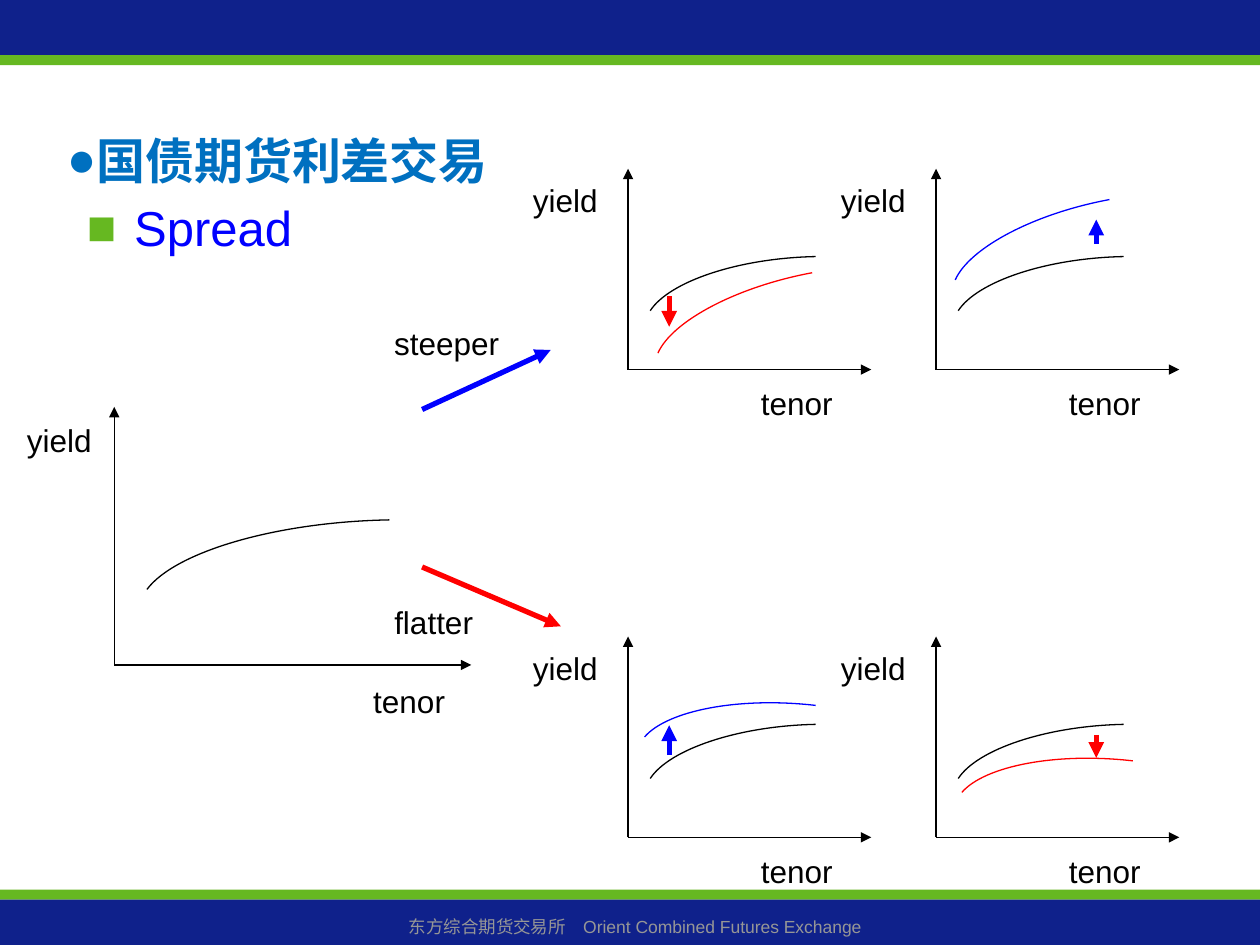
from lxml import etree
from pptx import Presentation
from pptx.dml import color as dml
from pptx.enum import shapes, text
from pptx.oxml import ns
from pptx.util import Pt

NAVY, GREEN, SKY = "0F218B", "66B821", "0070C0"
BLUE, RED, BLACK, GREY = "0000FF", "FF0000", "000000", "969696"

CURVE = [(0.02, 0.36), (0.07, 0.17), (0.25, 0.02), (0.45, 0.01)]
STEEPER, FLATTER = -9.4, 7.7


def rgb(value):
    return dml.RGBColor.from_string(value)


def place(item, box):
    item.left, item.top, item.width, item.height = map(Pt, box)


def write_text(frame, content, size=18, color=BLACK, bold=False,
               align=text.PP_ALIGN.LEFT, anchor=text.MSO_ANCHOR.TOP,
               fit=text.MSO_AUTO_SIZE.NONE, bullet=None, bullet_color=None, indent=0):
    frame.word_wrap = True
    frame.auto_size = fit
    frame.vertical_anchor = anchor
    paragraph = frame.paragraphs[0]
    paragraph.alignment = align
    paragraph.space_before = Pt(0)
    if bullet:
        properties = paragraph._p.get_or_add_pPr()
        properties.set("marL", str(Pt(indent)))
        properties.set("indent", str(-Pt(indent)))
        tint = etree.SubElement(properties, ns.qn("a:buClr"))
        etree.SubElement(tint, ns.qn("a:srgbClr"), val=bullet_color)
        etree.SubElement(properties, ns.qn("a:buFont"), typeface="Arial")
        etree.SubElement(properties, ns.qn("a:buChar"), char=bullet)
    run = paragraph.add_run()
    run.text = content
    run.font.name = "Arial"
    run.font.size = Pt(size)
    run.font.bold = bold
    run.font.color.rgb = rgb(color)


def add_label(slide, content, box, **style):
    label = slide.shapes.add_textbox(*map(Pt, box))
    write_text(label.text_frame, content, fit=text.MSO_AUTO_SIZE.SHAPE_TO_FIT_TEXT, **style)


def add_arrow(slide, start, end, color=BLACK, weight=0.75):
    arrow = slide.shapes.add_connector(
        shapes.MSO_CONNECTOR.STRAIGHT, *map(Pt, (*start, *end)))
    arrow.line.color.rgb = rgb(color)
    arrow.line.width = Pt(weight)
    etree.SubElement(arrow.line._get_or_add_ln(), ns.qn("a:tailEnd"), type="triangle")
    etree.SubElement(arrow._element.spPr, ns.qn("a:effectLst"))


def add_curve(slide, box, color=BLACK, rotation=0):
    left, top, width, height = map(Pt, box)
    builder = slide.shapes.build_freeform(left, top)
    builder.add_line_segments([(left + width, top + height)], close=False)
    curve = builder.convert_to_shape()
    outline = curve._element.spPr.find(".//" + ns.qn("a:path"))
    for segment in list(outline):
        outline.remove(segment)
    for tag, points in (("a:moveTo", CURVE[:1]), ("a:cubicBezTo", CURVE[1:])):
        segment = etree.SubElement(outline, ns.qn(tag))
        for x, y in points:
            etree.SubElement(segment, ns.qn("a:pt"),
                             x=str(round(x * width)), y=str(round(y * height)))
    curve.rotation = rotation
    curve.shadow.inherit = False
    curve.fill.background()
    curve.line.color.rgb = rgb(color)
    curve.line.width = Pt(0.75)


def add_yield_chart(slide, box, yield_width=61.5, tenor_width=66):
    left, top, width, height = box
    right, bottom = left + width, top + height
    add_arrow(slide, (left, bottom), (right, bottom))
    add_arrow(slide, (left, bottom), (left, top))
    add_label(slide, "yield", (left - yield_width, top + 0.03 * height, yield_width, 29))
    add_label(slide, "tenor", (right - 0.03 * width - tenor_width,
                               bottom + 0.04 * height, tenor_width, 29))
    curve_size = 1.58 * width, 0.77 * height
    add_curve(slide, (left + 0.06 * width, top + 0.43 * height, *curve_size))
    return curve_size


def add_shifted_chart(slide, box, rotation, offset, color, shift_x, shift_from, shift_to):
    left, top, width, height = box
    bottom = top + height
    curve_size = add_yield_chart(slide, box)
    add_curve(slide, (left + offset[0], top + offset[1], *curve_size), color, rotation)
    add_arrow(slide, (left + shift_x, bottom - shift_from),
              (left + shift_x, bottom - shift_to), color, 3)


def add_bands(slide, box):
    left, top, width, height = box
    for offset, depth, color in ((0, 31.5, NAVY), (31.5, 5.8, GREEN),
                                 (height - 31.7, 5.8, GREEN), (height - 25.9, 25.9, NAVY)):
        band = slide.shapes.add_shape(shapes.MSO_SHAPE.RECTANGLE,
                                      *map(Pt, (left, top + offset, width, depth)))
        band.shadow.inherit = False
        band.fill.solid()
        band.fill.fore_color.rgb = rgb(color)
        band.line.fill.background()
    add_label(slide, "东方综合期货交易所　Orient Combined Futures Exchange",
              (left + 5.8, top + height - 20, width - 5.8, 19.5),
              size=10, color=GREY, align=text.PP_ALIGN.CENTER)


def add_headings(slide, title_box, body_box):
    title, body = slide.shapes.title, slide.placeholders[1]
    place(title, title_box)
    write_text(title.text_frame, "国债期货利差交易", size=28, color=SKY, bold=True,
               anchor=text.MSO_ANCHOR.MIDDLE, bullet="●", bullet_color=SKY)
    place(body, body_box)
    write_text(body.text_frame, "Spread", size=28, color=BLUE,
               bullet="■", bullet_color=GREEN, indent=27)


def add_scenarios(slide, box):
    left, top, width, height = box
    add_label(slide, "steeper", (left, top, width, 29))
    add_label(slide, "flatter", (left, top + 159.8, width - 5.8, 29))
    add_arrow(slide, (left + 23, top + 52.5), (left + 96.5, top + 18.5), BLUE, 3)
    add_arrow(slide, (left + 23, top + 142.5), (left + 102.3, top + height), RED, 3)


def main():
    deck = Presentation()
    deck.slide_width, deck.slide_height = Pt(720), Pt(540)
    slide = deck.slides.add_slide(deck.slide_layouts[1])
    add_bands(slide, (0, 0, 720, 540))
    add_headings(slide, (31, 65.8, 499, 51), (42.5, 109.4, 635, 299.5))
    add_scenarios(slide, (218.2, 181.5, 79.2, 176.4))
    add_yield_chart(slide, (65.3, 232.5, 204, 147.5), yield_width=57, tenor_width=57)
    shifts = [
        (STEEPER, (13.3, 56.2), RED, 23.5, 42, 24.5),
        (STEEPER, (7.2, 14.4), BLUE, 91.5, 72, 85.7),
        (FLATTER, (2.5, 39.6), BLUE, 23.5, 47, 64),
        (FLATTER, (7.8, 71.3), RED, 91.5, 58.5, 45.4),
    ]
    for index, shift in enumerate(shifts):
        row, column = divmod(index, 2)
        add_shifted_chart(slide, (358.9 + 176 * column, 96.4 + 267.3 * row, 139, 114.8), *shift)
    deck.save("out.pptx")


if __name__ == "__main__":
    main()
